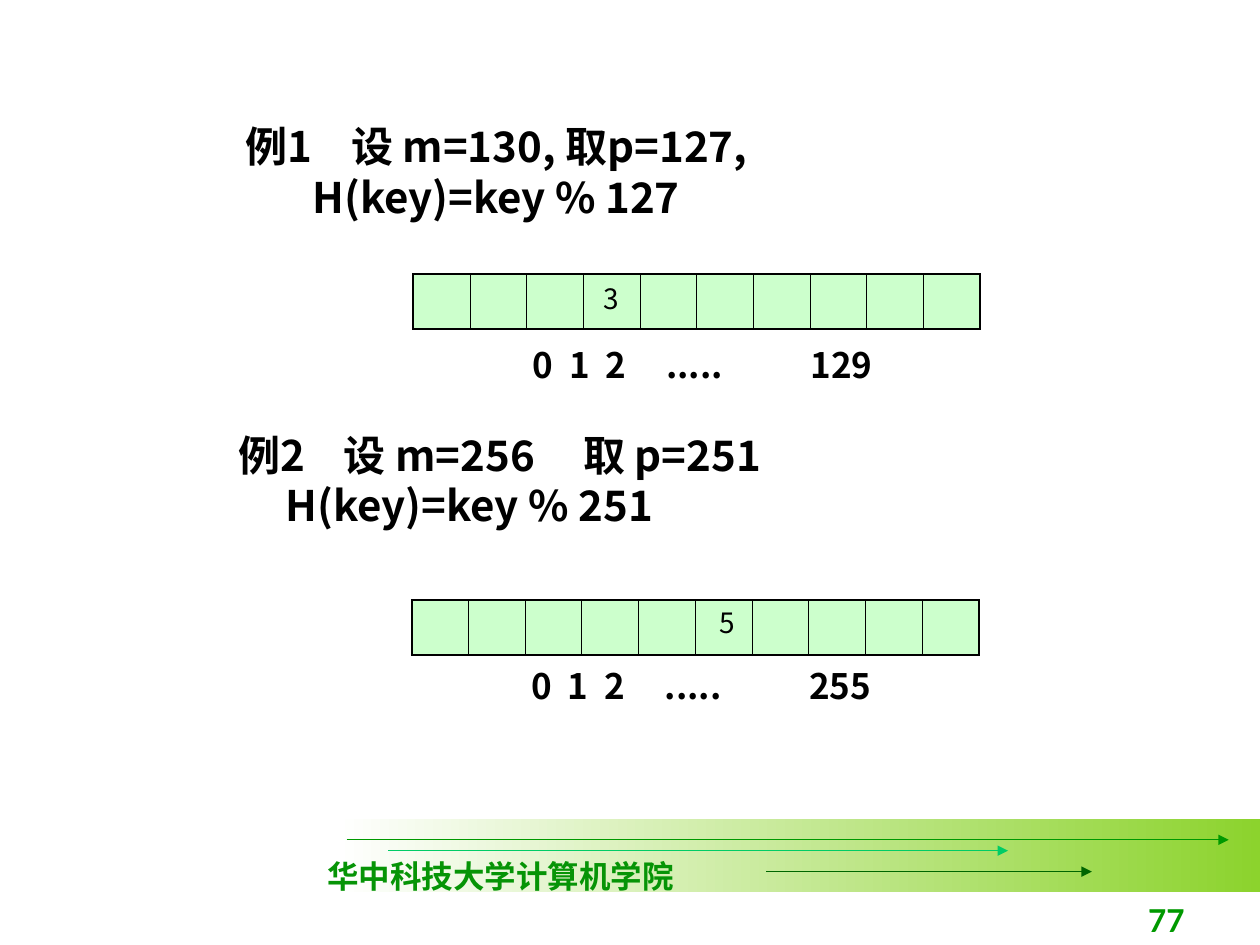
from dataclasses import dataclass

import pptx
import pptx.dml.color
import pptx.enum.dml
import pptx.enum.shapes
import pptx.enum.text
import pptx.oxml.ns
import pptx.util
from lxml import etree

Cm = pptx.util.Cm
Pt = pptx.util.Pt
qn = pptx.oxml.ns.qn
ALIGN = pptx.enum.text.PP_ALIGN
ANCHOR = pptx.enum.text.MSO_ANCHOR


@dataclass(frozen=True)
class Theme:
    ink: str = "000000"
    cell: str = "CCFFCC"
    band_start: str = "FFFFFF"
    band_end: str = "8CD32D"
    school: str = "069406"
    number: str = "009900"
    body_font: str = "Noto Sans CJK SC"
    school_font: str = "Times New Roman"
    number_font: str = "Lato"
    heading_size: int = 24
    index_size: int = 20
    footer_size: int = 18
    key_size: int = 16
    inner_line: float = 0.45
    outer_line: float = 1.08
    arrow_line: float = 0.75


THEME = Theme()


@dataclass(frozen=True)
class Line:
    """One paragraph; indent and tab stops are in centimetres."""
    text: str
    indent: float = 0
    tabs: tuple[float, ...] = ()


@dataclass(frozen=True)
class Label:
    left: float
    top: float
    width: float
    height: float
    lines: tuple[Line, ...]
    size: int
    font: str = THEME.body_font
    color: str = THEME.ink
    bold: bool = True
    wrap: bool = True
    align: ALIGN = ALIGN.LEFT
    anchor: ANCHOR = ANCHOR.TOP


@dataclass(frozen=True)
class Arrow:
    start: float
    end: float
    y: float
    color: str


@dataclass(frozen=True)
class HashTable:
    left: float
    top: float
    columns: int = 10
    column_width: float = 1.143
    height: float = 1.1


def rgb(value: str) -> pptx.dml.color.RGBColor:
    return pptx.dml.color.RGBColor.from_string(value)


def apply_format(target, values: dict) -> None:
    for name, value in values.items():
        setattr(target, name, value)


def add_label(page, label: Label) -> None:
    box = page.shapes.add_textbox(Cm(label.left), Cm(label.top), Cm(label.width), Cm(label.height))
    frame = box.text_frame
    apply_format(frame, {"word_wrap": label.wrap, "vertical_anchor": label.anchor})
    for number, line in enumerate(label.lines):
        para = frame.paragraphs[0] if number == 0 else frame.add_paragraph()
        para.alignment = label.align
        properties = para._p.get_or_add_pPr()
        if line.indent:
            properties.set("marL", str(Cm(line.indent)))
        if line.tabs:
            stops = etree.SubElement(properties, qn("a:tabLst"))
            for stop in line.tabs:
                etree.SubElement(stops, qn("a:tab"), pos=str(Cm(stop)), algn="l")
        span = para.add_run()
        span.text = line.text
        apply_format(span.font, {"name": label.font, "size": Pt(label.size), "bold": label.bold})
        span.font.color.rgb = rgb(label.color)
        etree.SubElement(span._r.get_or_add_rPr(), qn("a:ea"), typeface=THEME.body_font)


def add_arrow(page, arrow: Arrow) -> None:
    connector = page.shapes.add_connector(
        pptx.enum.shapes.MSO_CONNECTOR.STRAIGHT,
        Cm(arrow.start), Cm(arrow.y), Cm(arrow.end), Cm(arrow.y))
    apply_format(connector.line, {"width": Pt(THEME.arrow_line)})
    connector.line.color.rgb = rgb(arrow.color)
    etree.SubElement(connector.line._get_or_add_ln(), qn("a:tailEnd"), type="triangle")
    etree.SubElement(connector._element.spPr, qn("a:effectLst"))


def set_borders(cell, widths: dict[str, float]) -> None:
    properties = cell._tc.get_or_add_tcPr()
    for position, (side, width) in enumerate(widths.items()):
        border = etree.Element(qn(f"a:ln{side}"), w=str(Pt(width)))
        fill = etree.SubElement(border, qn("a:solidFill"))
        etree.SubElement(fill, qn("a:srgbClr"), val=THEME.ink)
        properties.insert(position, border)


def add_hash_table(page, data: HashTable) -> None:
    table = page.shapes.add_table(
        1, data.columns, Cm(data.left), Cm(data.top),
        Cm(data.columns * data.column_width), Cm(data.height)).table
    apply_format(table, {"first_row": False, "horz_banding": False})
    for index, column in enumerate(table.columns):
        column.width = Cm(data.column_width)
        cell = table.cell(0, index)
        margins = ("margin_left", "margin_top", "margin_right", "margin_bottom")
        apply_format(cell, dict.fromkeys(margins, 0))
        cell.fill.solid()
        cell.fill.fore_color.rgb = rgb(THEME.cell)
        set_borders(cell, {
            "L": THEME.outer_line if index == 0 else THEME.inner_line,
            "R": THEME.outer_line if index == data.columns - 1 else THEME.inner_line,
            "T": THEME.outer_line,
            "B": THEME.outer_line,
        })


def add_band(page) -> None:
    band = page.shapes.add_shape(
        pptx.enum.shapes.MSO_SHAPE.RECTANGLE, Cm(6.78), Cm(16.51), Cm(18.62), Cm(1.48))
    band.shadow.inherit = False
    band.line.fill.background()
    band.fill.gradient()
    band.fill.gradient_angle = 0
    for stop, position, color in zip(
            band.fill.gradient_stops, (0, 1), (THEME.band_start, THEME.band_end)):
        stop.position = position
        stop.color.rgb = rgb(color)


INDEX_TABS = (0.74, 1.47, 2.69, 5.6)

ARROWS = (
    Arrow(6.99, 24.77, 16.93, "009900"),
    Arrow(7.83, 20.32, 17.15, "00CC66"),
    Arrow(15.45, 22.01, 17.57, "006600"),
)

HASH_TABLES = (HashTable(8.33, 5.53), HashTable(8.3, 12.1))

LABELS = (
    # Footer
    Label(6.35, 17.15, 7.49, 1.02, (Line("华中科技大学计算机学院"),), THEME.footer_size,
          THEME.school_font, THEME.school, wrap=False),
    Label(18.84, 17.78, 5.29, 1.27, (Line("77"),), THEME.footer_size,
          THEME.number_font, THEME.number, align=ALIGN.RIGHT, anchor=ANCHOR.BOTTOM),
    # Example 1
    Label(4.7, 2.31, 14, 2.29,
          (Line("例1\t设 m=130, 取p=127,", tabs=(2.13,)), Line("H(key)=key % 127", 1.35)),
          THEME.heading_size),
    Label(10.49, 6.81, 7.62, 1.12, (Line("0\t1\t2\t.....\t129", tabs=INDEX_TABS),),
          THEME.index_size),
    Label(11.91, 5.56, 0.53, 0.94, (Line("3"),), THEME.key_size, bold=False),
    # Example 2
    Label(4.55, 8.53, 11.48, 2.29,
          (Line("例2\t设 m=256\t取 p=251", tabs=(2.13, 6.96)), Line("H(key)=key % 251", 0.96)),
          THEME.heading_size),
    Label(10.46, 13.28, 7.62, 1.12, (Line("0\t1\t2\t.....\t255", tabs=INDEX_TABS),),
          THEME.index_size),
    Label(14.25, 12.09, 1.37, 0.94, (Line("5"),), THEME.key_size, bold=False),
)


def main() -> None:
    deck = pptx.Presentation()
    apply_format(deck, {"slide_width": Cm(25.4), "slide_height": Cm(19.05)})
    page = deck.slides.add_slide(deck.slide_layouts[6])
    add_band(page)
    for arrow in ARROWS:
        add_arrow(page, arrow)
    for data in HASH_TABLES:
        add_hash_table(page, data)
    for label in LABELS:
        add_label(page, label)
    deck.save("out.pptx")


if __name__ == "__main__":
    main()
